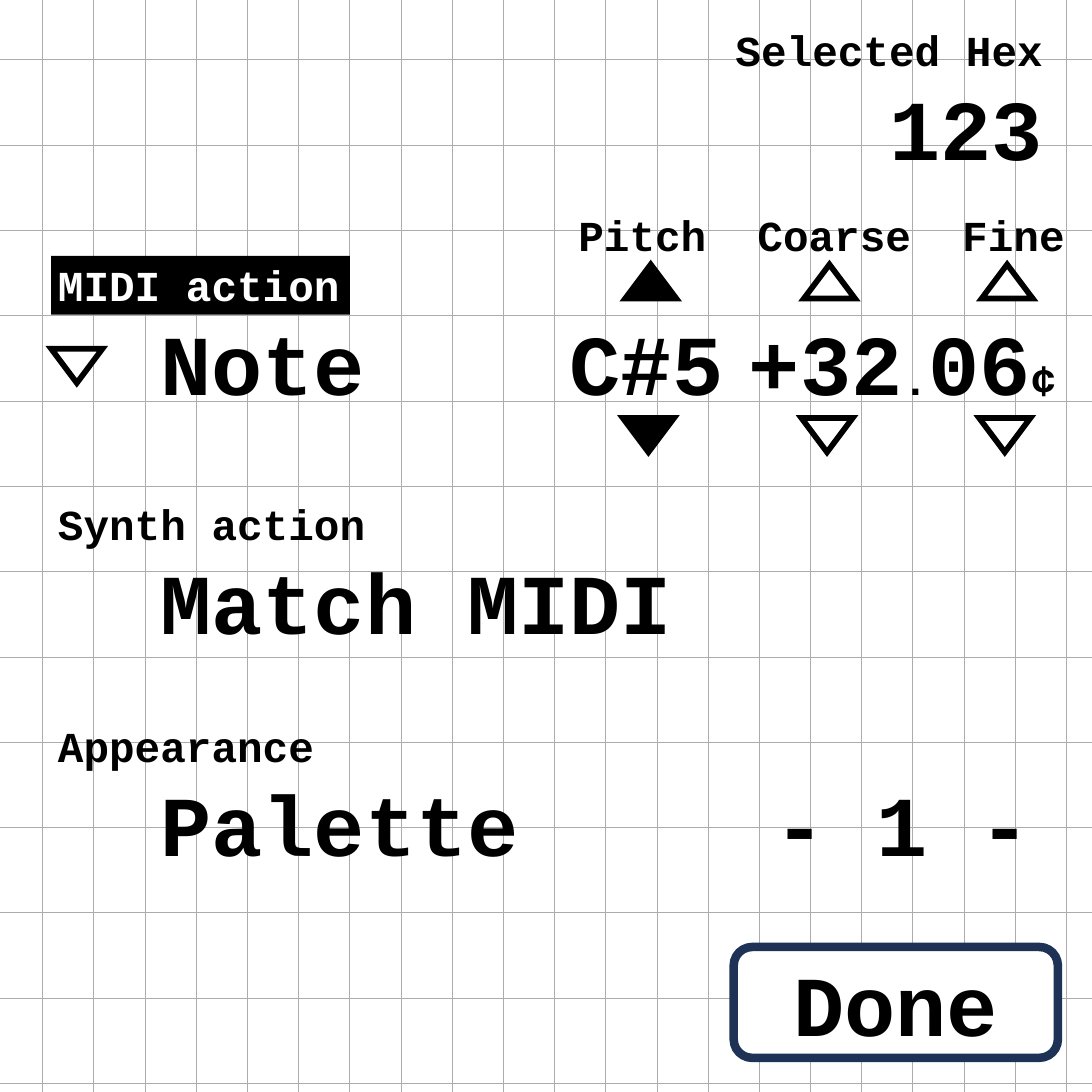
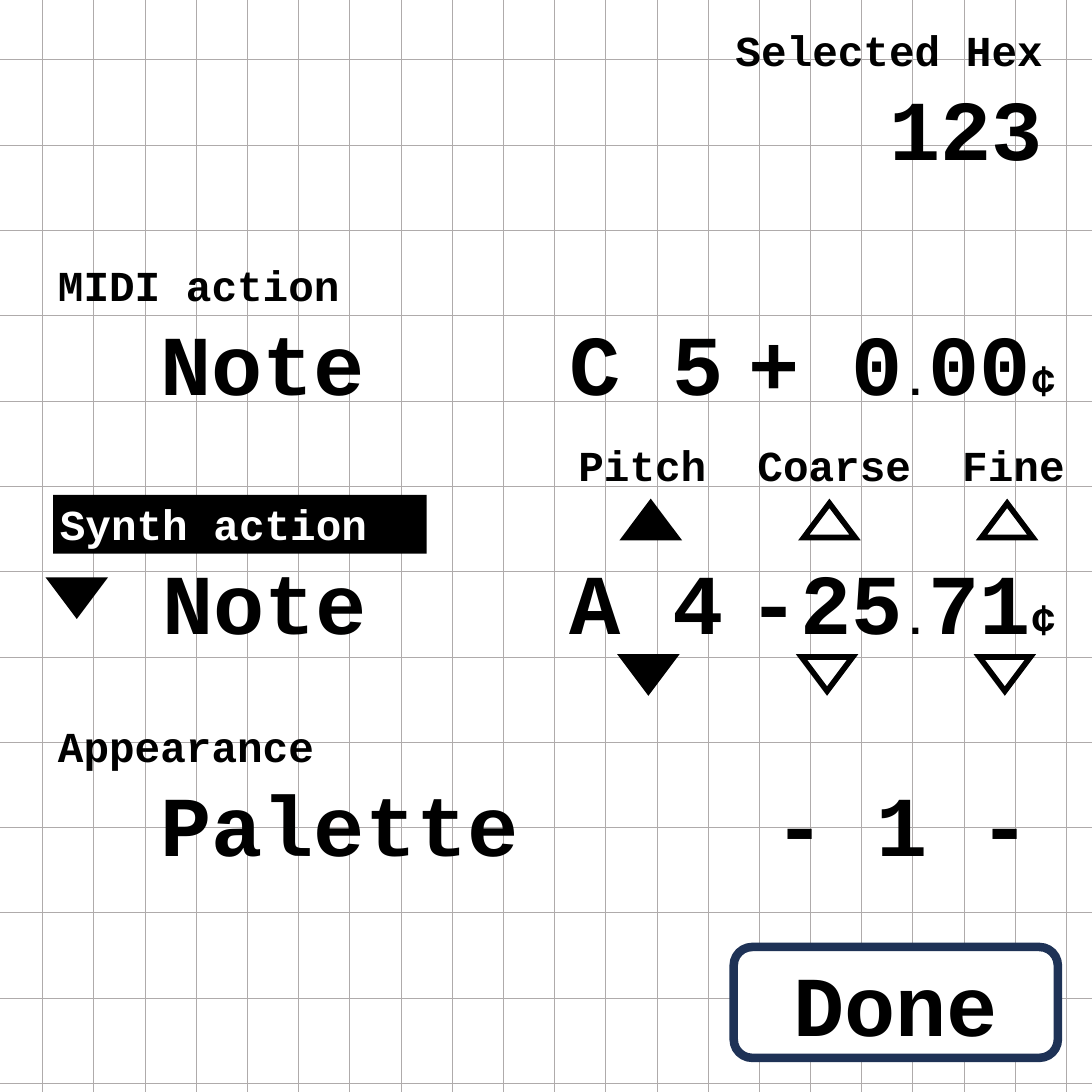
import pptx
import pptx.util
import pptx.dml.color
import pptx.enum.shapes
import pptx.enum.text
import pptx.oxml
import pptx.oxml.ns

Pt = pptx.util.Pt
RGBColor = pptx.dml.color.RGBColor
SHAPE = pptx.enum.shapes.MSO_SHAPE
ALIGN = pptx.enum.text.PP_ALIGN
qn = pptx.oxml.ns.qn

BLACK = RGBColor(0x00, 0x00, 0x00)
WHITE = RGBColor(0xFF, 0xFF, 0xFF)
GRID_GREY = RGBColor(0xAF, 0xAB, 0xAB)
BUTTON_BLUE = RGBColor(0x1E, 0x32, 0x56)

FONT = "Courier New"
SMALL, LARGE = 45, 90
SIDE = 1152             # slide width and height
HEADING_STEP = 54       # from the top of a heading to the top of its value
INDENT = 108            # two large characters
SECTION_LEFT = 54
SECTION_TOPS = {"MIDI action": 270, "Synth action": 522, "Appearance": 756}

# Label, label left, up-arrow left, arrow fill
PITCH_COLUMNS = [
    ("Pitch", 603, 659.5, BLACK),
    ("Coarse", 792, 848, WHITE),
    ("Fine", 1008, 1035.5, WHITE),
]


def points(*values):
    return [Pt(value) for value in values]


def fill_text(text_frame, paragraphs, color=BLACK, align=None):
    """Each paragraph is (indent, [(text, size), ...])."""
    for number, (indent, runs) in enumerate(paragraphs):
        paragraph = text_frame.paragraphs[0] if number == 0 else text_frame.add_paragraph()
        paragraph.alignment = align
        if indent:
            paragraph._p.get_or_add_pPr().set("marL", str(Pt(indent)))
        for text, size in runs:
            run = paragraph.add_run()
            run.text = text
            run.font.name = FONT
            run.font.size = Pt(size)
            run.font.bold = True
            run.font.color.rgb = color


def add_text(slide, box, paragraphs, color=BLACK, align=None, wrap=True):
    shape = slide.shapes.add_textbox(*points(*box))
    shape.text_frame.word_wrap = wrap
    shape.text_frame.auto_size = pptx.enum.text.MSO_AUTO_SIZE.SHAPE_TO_FIT_TEXT
    fill_text(shape.text_frame, paragraphs, color, align)
    return shape


def add_outlined(slide, kind, box, fill, line, width):
    shape = slide.shapes.add_shape(kind, *points(*box))
    shape.shadow.inherit = False
    shape.fill.solid()
    shape.fill.fore_color.rgb = fill
    shape.line.color.rgb = line
    shape.line.width = Pt(width)
    return shape


def add_arrow(slide, left, top, fill, down=False):
    arrow = add_outlined(slide, SHAPE.ISOSCELES_TRIANGLE, (left, top, 54, 36), fill, BLACK, 6)
    miter = pptx.oxml.parse_xml(
        f'<a:miter {pptx.oxml.ns.nsdecls("a")} lim="800000"/>')
    arrow.line._get_or_add_ln().append(miter)
    if down:
        arrow.rotation = 180


def add_grid(presentation, slide):
    """Draw the grid as two groups and hand them to the slide master."""
    columns = [(x, SIDE, x, 0) for x in range(45, SIDE, 54)]
    rows = [(0, y, SIDE, y) for y in range(63, SIDE, 90)]
    master_tree = presentation.slide_master.shapes.element
    next_id = 100
    for lines in (columns, rows):
        group = slide.shapes.add_group_shape()
        for ends in lines:
            connector = group.shapes.add_connector(
                pptx.enum.shapes.MSO_CONNECTOR.STRAIGHT, *points(*ends))
            connector.line.color.rgb = GRID_GREY
            connector.line.width = Pt(0.75)
            connector.element.spPr.append(
                pptx.oxml.parse_xml(f'<a:effectLst {pptx.oxml.ns.nsdecls("a")}/>'))
        for properties in group.element.iter(qn("p:cNvPr")):
            properties.set("id", str(next_id))
            next_id += 1
        master_tree.append(group.element)


def add_frame(slide):
    """Selected hex at the top, Appearance and the button at the bottom."""
    add_text(slide, (709, 22, 398, 171),
             [(0, [("Selected Hex", SMALL)]), (0, [("123", LARGE)])], align=ALIGN.RIGHT)
    add_section(slide, "Appearance", "Palette")
    value_top = SECTION_TOPS["Appearance"] + HEADING_STEP
    add_text(slide, (810, value_top, 306, 117), [(0, [("- 1 -", LARGE)])])

    button = add_outlined(slide, SHAPE.ROUNDED_RECTANGLE, (774, 999, 342, 117),
                          WHITE, BUTTON_BLUE, 9)
    button.text_frame.vertical_anchor = pptx.enum.text.MSO_ANCHOR.MIDDLE
    fill_text(button.text_frame, [(0, [("Done", LARGE)])], align=ALIGN.CENTER)


def add_section(slide, heading, value):
    """Heading and indented value in one box."""
    add_text(slide, (SECTION_LEFT, SECTION_TOPS[heading], 1062, 171),
             [(0, [(heading, SMALL)]), (INDENT, [(value, LARGE)])])


def add_note_section(slide, heading, note, coarse, fine, left=SECTION_LEFT,
                     highlight_width=None):
    """Heading, Note and its pitch readout; a highlighted heading is black."""
    top = SECTION_TOPS[heading]
    value_top = top + HEADING_STEP
    label = add_text(slide, (left, top, highlight_width or 315, 62), [(0, [(heading, SMALL)])],
                     color=WHITE if highlight_width else BLACK)
    if highlight_width:
        label.fill.solid()
        label.fill.fore_color.rgb = BLACK
    add_text(slide, (left, value_top, 468, 117), [(INDENT, [("Note", LARGE)])])
    add_text(slide, (594, value_top, 533, 117),
             [(0, [(note, LARGE), (" ", SMALL), (coarse, LARGE), (".", SMALL),
                   (fine, LARGE), ("¢", SMALL)])], wrap=False)


def add_pitch_controls(slide, heading, label_rise, menu_drop, menu_fill):
    """Labels and arrows around the readout, and the menu arrow at the left."""
    value_top = SECTION_TOPS[heading] + HEADING_STEP
    for label, label_left, arrow_left, fill in PITCH_COLUMNS:
        width = 27 * len(label) + 15
        add_text(slide, (label_left, value_top - label_rise, width, 62),
                 [(0, [(label, SMALL)])], wrap=False)
        add_arrow(slide, arrow_left, value_top - 45, fill)
        add_arrow(slide, arrow_left - 2.5, value_top + 117, fill, down=True)
    add_arrow(slide, SECTION_LEFT, value_top + menu_drop, menu_fill, down=True)


def build_midi_slide(slide):
    add_frame(slide)
    add_note_section(slide, "MIDI action", "C#5", "+32", "06", highlight_width=315)
    add_pitch_controls(slide, "MIDI action", 107, 44, WHITE)
    add_section(slide, "Synth action", "Match MIDI")


def build_synth_slide(slide):
    add_frame(slide)
    add_note_section(slide, "MIDI action", "C 5", "+ 0", "00")
    add_note_section(slide, "Synth action", "A 4", "-25", "71", left=56, highlight_width=394)
    add_pitch_controls(slide, "Synth action", 117, 36, BLACK)


def main():
    presentation = pptx.Presentation()
    presentation.slide_width = presentation.slide_height = Pt(SIDE)
    blank = presentation.slide_layouts[6]
    midi_slide = presentation.slides.add_slide(blank)
    add_grid(presentation, midi_slide)
    build_midi_slide(midi_slide)
    build_synth_slide(presentation.slides.add_slide(blank))
    presentation.save("out.pptx")


if __name__ == "__main__":
    main()
